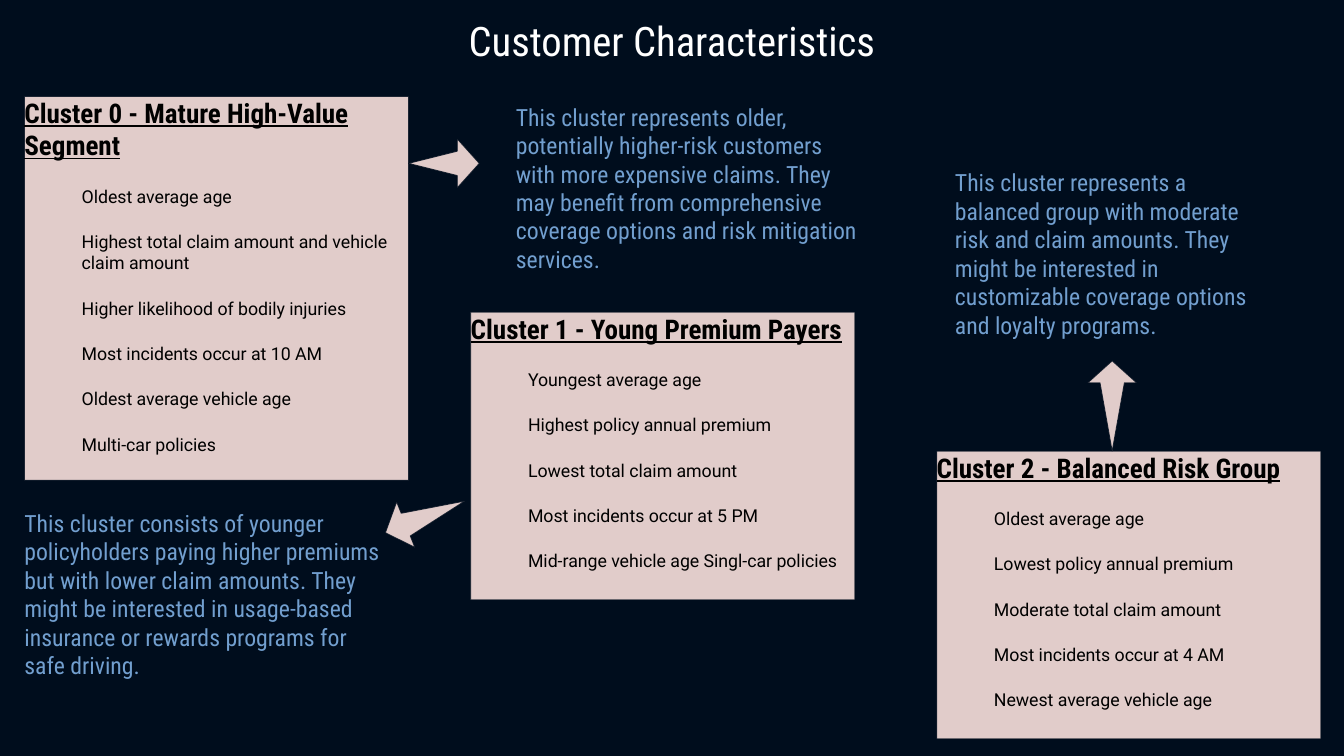
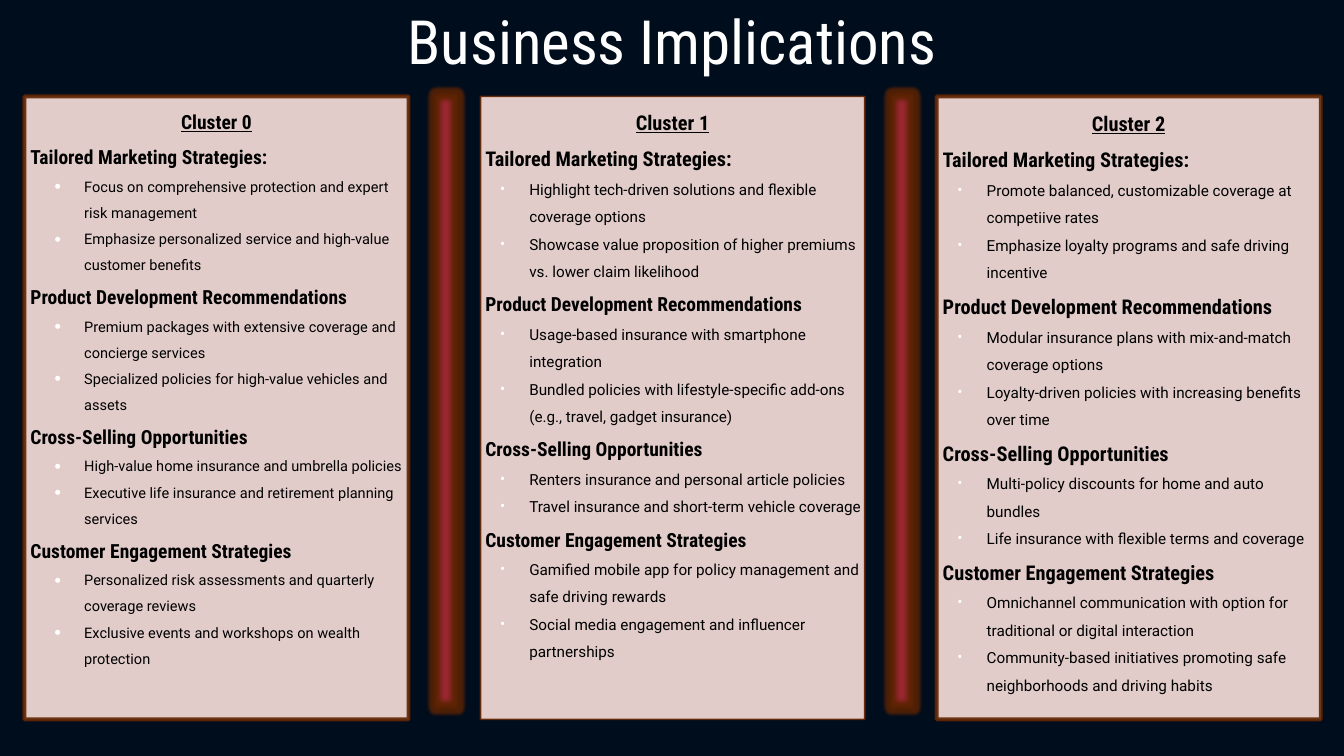
import math
from dataclasses import dataclass

from lxml import etree
from pptx import Presentation
from pptx.dml.color import RGBColor
from pptx.enum.shapes import MSO_SHAPE
from pptx.enum.text import MSO_ANCHOR, MSO_AUTO_SIZE, PP_ALIGN
from pptx.oxml.ns import qn
from pptx.util import Inches, Pt

TOP, MIDDLE = MSO_ANCHOR.TOP, MSO_ANCHOR.MIDDLE
LEFT, CENTER = PP_ALIGN.LEFT, PP_ALIGN.CENTER
NO_AUTOFIT = MSO_AUTO_SIZE.NONE
RECTANGLE = MSO_SHAPE.RECTANGLE


@dataclass(frozen=True)
class Theme:
    night: str = "000D1D"
    blush: str = "F5DDD9"
    brown: str = "622502"
    crimson: str = "DB2D67"
    sky: str = "729FCF"
    white: str = "FFFFFF"
    black: str = "000000"
    heading_font: str = "Roboto Condensed"
    body_font: str = "Roboto"
    title_sizes: tuple = (24, 36)
    profile_heading: float = 16
    profile_item: float = 10.5
    summary: float = 14


theme = Theme()
COLUMN_LEFTS = (0.2, 3.94, 7.68)
CARD_WIDTH, CARD_TOP = 3.15, 0.79


def paint(shape, fill, fill_alpha, line=None, line_alpha=100, line_width=0.5):
    """Give a shape a fill and an outline, with opacity in percent."""
    shape.fill.solid()
    shape.fill.fore_color.rgb = RGBColor.from_string(fill)
    if line:
        shape.line.color.rgb = RGBColor.from_string(line)
        shape.line.width = Pt(line_width)
    else:
        shape.line.fill.background()
    colors = shape._element.spPr.iter(qn("a:srgbClr"))
    for color, alpha in zip(list(colors), (fill_alpha, line_alpha)):
        etree.SubElement(color, qn("a:alpha"), val=str(alpha * 1000))


def write(frame, text, size, font=theme.heading_font, color=theme.black, bold=False,
          underline=False, align=LEFT, spacing=1.0, before=0, after=0, margin=0,
          hanging=0, bullet=None):
    """Add a paragraph; bullet is (character, colour, font, size in percent)."""
    paragraph = frame.paragraphs[0]
    if paragraph.text:
        paragraph = frame.add_paragraph()
    paragraph.text = text
    paragraph.alignment = align
    paragraph.line_spacing = spacing
    paragraph.space_before, paragraph.space_after = Pt(before), Pt(after)
    properties = paragraph._p.get_or_add_pPr()
    properties.set("marL", str(Inches(margin)))
    properties.set("indent", str(Inches(-hanging)))
    if bullet:
        character, bullet_color, bullet_font, percent = bullet
        holder = etree.SubElement(properties, qn("a:buClr"))
        etree.SubElement(holder, qn("a:srgbClr"), val=bullet_color)
        etree.SubElement(properties, qn("a:buSzPct"), val=str(percent * 1000))
        etree.SubElement(properties, qn("a:buFont"), typeface=bullet_font)
        etree.SubElement(properties, qn("a:buChar"), char=character)
    else:
        etree.SubElement(properties, qn("a:buNone"))
    paragraph.font.size = Pt(size)
    paragraph.font.name = font
    paragraph.font.bold = bold
    paragraph.font.underline = underline
    paragraph.font.color.rgb = RGBColor.from_string(color)


# Shared page: dark background, full-width title, three cards
presentation = Presentation()
presentation.slide_width, presentation.slide_height = Inches(11.02), Inches(6.2)
background = presentation.slide_master.background.fill
background.solid()
background.fore_color.rgb = RGBColor.from_string(theme.night)
layout = presentation.slide_layouts.get_by_name("Comparison")
layout_title = layout.placeholders[0]
layout_title.left, layout_title.top = 0, 0
layout_title.width, layout_title.height = presentation.slide_width, Inches(0.66)

slides, cards = [], []
for title, size in zip(("Customer Characteristics", "Business Implications"), theme.title_sizes):
    slide = presentation.slides.add_slide(layout)
    heading, *bodies, spare = slide.placeholders
    spare._element.getparent().remove(spare._element)
    for placeholder in (heading, *bodies):
        frame = placeholder.text_frame
        frame.word_wrap, frame.auto_size = True, NO_AUTOFIT
        frame.vertical_anchor = MIDDLE if placeholder is heading else TOP
        frame.margin_left = frame.margin_right = frame.margin_top = frame.margin_bottom = 0
    write(heading.text_frame, title, size, color=theme.white, align=CENTER)
    slides.append(slide)
    cards.append(bodies)

# Customer Characteristics
profiles = [
    (0.2, 0.79, 3.15, "Cluster 0 - Mature High-Value Segment", [
        "Oldest average age",
        "Highest total claim amount and vehicle claim amount",
        "Higher likelihood of bodily injuries",
        "Most incidents occur at 10 AM",
        "Oldest average vehicle age",
        "Multi-car policies",
    ]),
    (3.86, 2.56, 2.36, "Cluster 1 - Young Premium Payers", [
        "Youngest average age",
        "Highest policy annual premium",
        "Lowest total claim amount",
        "Most incidents occur at 5 PM",
        "Mid-range vehicle age Singl-car policies",
    ]),
    (7.68, 3.7, 2.36, "Cluster 2 - Balanced Risk Group", [
        "Oldest average age",
        "Lowest policy annual premium",
        "Moderate total claim amount",
        "Most incidents occur at 4 AM",
        "Newest average vehicle age",
    ]),
]
ring = ("", theme.black, "OpenSymbol", 100)
for card, (left, top, height, heading, items) in zip(cards[0], profiles):
    card.left, card.top = Inches(left), Inches(top)
    card.width, card.height = Inches(CARD_WIDTH), Inches(height)
    paint(card, theme.blush, 92, theme.night, 80)
    write(card.text_frame, heading, theme.profile_heading, bold=True, underline=True,
          before=8.5, after=5.7)
    for item in items:
        write(card.text_frame, item, theme.profile_item, theme.body_font, before=8.5,
              after=5.7, margin=0.47, hanging=0.35, bullet=ring)

summaries = [
    (4.23, 0.84, 2.87, 1.4,
     "This cluster represents older, potentially higher-risk customers with more expensive "
     "claims. They may benefit from comprehensive coverage options and risk mitigation services."),
    (0.2, 4.17, 2.95, 1.61,
     "This cluster consists of younger policyholders paying higher premiums but with lower claim "
     "amounts. They might be interested in usage-based insurance or rewards programs for safe "
     "driving."),
    (7.83, 1.38, 2.49, 1.55,
     "This cluster represents a balanced group with moderate risk and claim amounts. They might "
     "be interested in customizable coverage options and loyalty programs."),
]
for left, top, width, height, text in summaries:
    box = slides[0].shapes.add_textbox(Inches(left), Inches(top), Inches(width), Inches(height))
    frame = box.text_frame
    frame.word_wrap = True
    frame.margin_left = frame.margin_right = frame.margin_top = frame.margin_bottom = 0
    write(frame, text, theme.summary, color=theme.sky)

# Tapered arrows: (distance back from the tip, offset to the side)
HEAD, WING, NECK = 0.18, 0.2, 0.1
arrows = [((3.35, 1.34), (3.93, 1.34)), ((3.81, 4.11), (3.16, 4.37)), ((9.12, 3.7), (9.12, 2.96))]
for (tail_x, tail_y), (tip_x, tip_y) in arrows:
    length = math.hypot(tip_x - tail_x, tip_y - tail_y)
    along_x, along_y = (tip_x - tail_x) / length, (tip_y - tail_y) / length
    outline = [(0, 0), (HEAD, WING), (HEAD, NECK), (length, 0), (HEAD, -NECK), (HEAD, -WING)]
    points = [(Inches(tip_x - back * along_x - side * along_y),
               Inches(tip_y - back * along_y + side * along_x)) for back, side in outline]
    builder = slides[0].shapes.build_freeform(*points[0])
    builder.add_line_segments(points[1:], close=True)
    arrow = builder.convert_to_shape()
    arrow.shadow.inherit = False
    paint(arrow, theme.blush, 92, theme.night, 80)

# Business Implications
topics = [
    "Tailored Marketing Strategies:",
    "Product Development Recommendations",
    "Cross-Selling Opportunities",
    "Customer Engagement Strategies",
]
small_dot = ("●", theme.white, theme.body_font, 45)
dot = ("•", theme.white, theme.body_font, 100)
# Border, inset, heading size, topic size, item size, item margin, bullet, item pairs by topic
strategies = [
    (2.3, 0.02, 11.5, 11.5, 8.6, 0.47, small_dot, [
        ("Focus on comprehensive protection and expert risk management",
         "Emphasize personalized service and high-value customer benefits"),
        ("Premium packages with extensive coverage and concierge services",
         "Specialized policies for high-value vehicles and assets"),
        ("High-value home insurance and umbrella policies",
         "Executive life insurance and retirement planning services"),
        ("Personalized risk assessments and quarterly coverage reviews",
         "Exclusive events and workshops on wealth protection"),
    ]),
    (1, 0.01, 12, 11.5, 9, 0.39, dot, [
        ("Highlight tech-driven solutions and flexible coverage options",
         "Showcase value proposition of higher premiums vs. lower claim likelihood"),
        ("Usage-based insurance with smartphone integration",
         "Bundled policies with lifestyle-specific add-ons (e.g., travel, gadget insurance)"),
        ("Renters insurance and personal article policies",
         "Travel insurance and short-term vehicle coverage"),
        ("Gamified mobile app for policy management and safe driving rewards",
         "Social media engagement and influencer partnerships"),
    ]),
    (2.3, 0.02, 12, 12, 9, 0.39, dot, [
        ("Promote balanced, customizable coverage at competiive rates",
         "Emphasize loyalty programs and safe driving incentive"),
        ("Modular insurance plans with mix-and-match coverage options",
         "Loyalty-driven policies with increasing benefits over time"),
        ("Multi-policy discounts for home and auto bundles",
         "Life insurance with flexible terms and coverage"),
        ("Omnichannel communication with option for traditional or digital interaction",
         "Community-based initiatives promoting safe neighborhoods and driving habits"),
    ]),
]
for number, (card, strategy) in enumerate(zip(cards[1], strategies)):
    border, inset, heading_size, topic_size, item_size, margin, bullet, item_pairs = strategy
    card.left, card.top = Inches(COLUMN_LEFTS[number]), Inches(CARD_TOP)
    card.width, card.height = Inches(CARD_WIDTH), Inches(5.11)
    paint(card, theme.blush, 92, theme.brown, 90, border)
    frame = card.text_frame
    frame.margin_left = frame.margin_right = Inches(inset)
    frame.margin_top = frame.margin_bottom = Inches(inset)
    write(frame, f"Cluster {number}", heading_size, bold=True, underline=True,
          align=CENTER, spacing=1.5)
    for topic, items in zip(topics, item_pairs):
        size = heading_size if topic == topics[0] else topic_size
        write(frame, topic, size, bold=True, spacing=1.5, margin=0.03)
        for item in items:
            write(frame, item, item_size, theme.body_font, spacing=1.5, margin=margin,
                  hanging=0.24, bullet=bullet)

for left in (3.58, 7.32):
    divider = slides[1].shapes.add_shape(
        RECTANGLE, Inches(left), Inches(CARD_TOP), Inches(0.15), Inches(4.99))
    paint(divider, theme.crimson, 52)
    divider.shadow.inherit = False
    effects = divider._element.spPr.find(qn("a:effectLst"))
    glow = etree.SubElement(effects, qn("a:glow"), rad=str(Pt(4)))
    glow_color = etree.SubElement(glow, qn("a:srgbClr"), val=theme.brown)
    etree.SubElement(glow_color, qn("a:alpha"), val="80000")
    etree.SubElement(effects, qn("a:softEdge"), rad=str(Pt(2.5)))

presentation.save("out.pptx")
